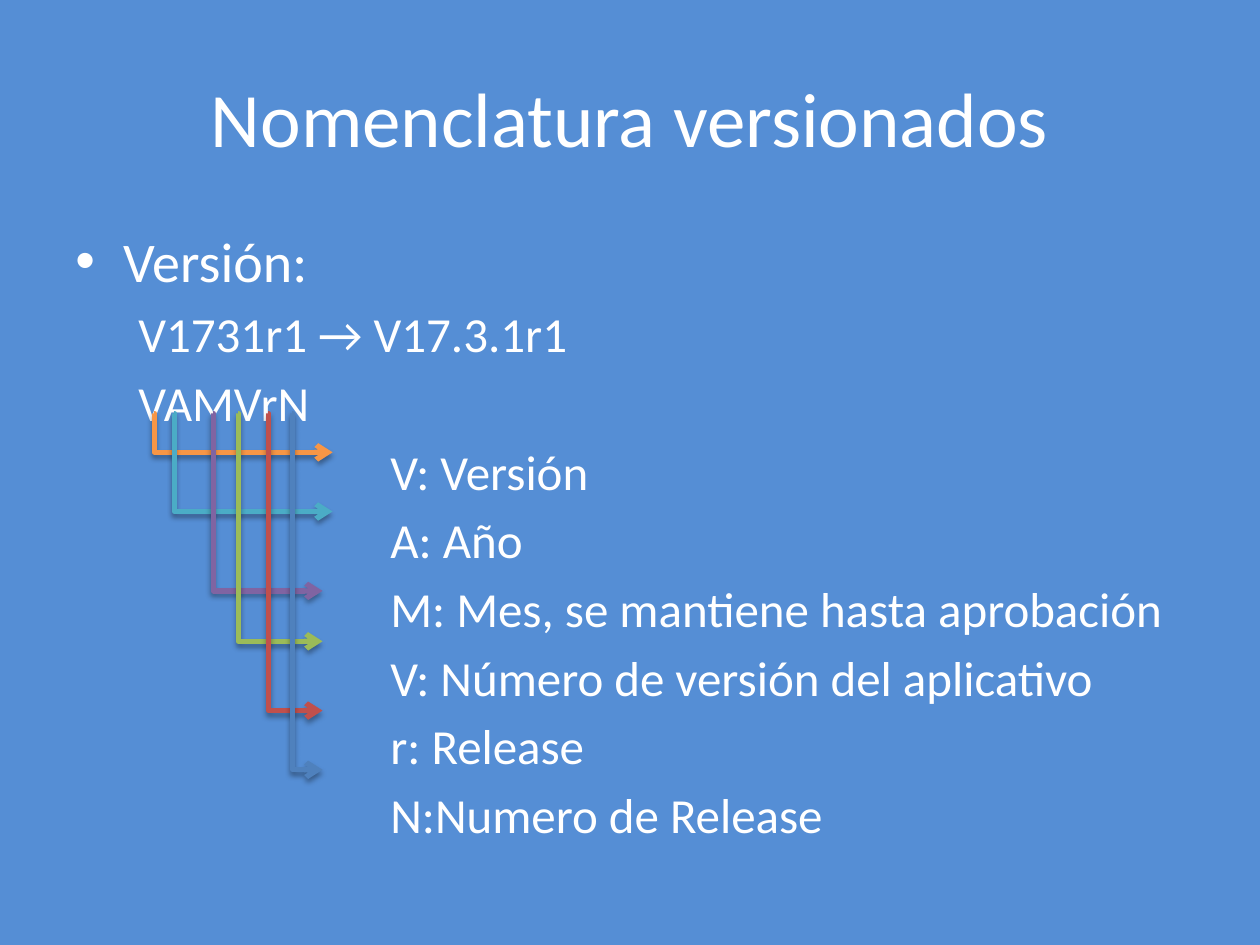
from lxml.etree import SubElement
from pptx import Presentation
from pptx.dml.color import RGBColor
from pptx.enum.shapes import MSO_CONNECTOR as Connector
from pptx.enum.text import MSO_ANCHOR as Anchor, PP_ALIGN as Align
from pptx.oxml.ns import qn
from pptx.util import Inches, Pt

COLORS = {
    "background": "558ED5", "text": "FFFFFF", "shadow": "000000",
    "orange": "F79646", "aqua": "4BACC6", "purple": "8064A2",
    "green": "9BBB59", "red": "C0504D", "blue": "4F81BD",
}
FONT = "Calibri"
LETTERS_BOTTOM = 3.28
OUTLINE = [
    ("Versión:", 32, 0.38),
    ("V1731r1 → V17.3.1r1", 28, 0.5),
    ("VAMVrN", 28, 0.5),
    ("V: Versión", 28, 2.5),
    ("A: Año", 28, 2.5),
    ("M: Mes, se mantiene hasta aprobación", 28, 2.5),
    ("V: Número de versión del aplicativo", 28, 2.5),
    ("r: Release", 28, 2.5),
    ("N:Numero de Release", 28, 2.5),
]
ARROWS = [
    ("orange", 1.22, 2.64, 3.59),
    ("aqua", 1.38, 2.64, 4.06),
    ("purple", 1.69, 2.56, 4.69),
    ("green", 1.89, 2.56, 5.09),
    ("red", 2.13, 2.56, 5.64),
    ("blue", 2.32, 2.56, 6.11),
]


def rgb(name):
    """Return the named colour."""
    return RGBColor.from_string(COLORS[name])


def add_text_frame(slide, left, top, width, height):
    """Add a wrapping text box and return its frame."""
    box = slide.shapes.add_textbox(
        Inches(left), Inches(top), Inches(width), Inches(height))
    box.text_frame.word_wrap = True
    return box.text_frame


def write_line(paragraph, text, size):
    """Fill a paragraph and format its run."""
    paragraph.text = text
    font = paragraph.runs[0].font
    font.name, font.size = FONT, Pt(size)
    font.color.rgb = rgb("text")


def set_layout(paragraph, margin, bullet=None):
    """Set the indent, proportional spacing and bullet of a paragraph."""
    props = paragraph._p.get_or_add_pPr()
    props.set("marL", str(Inches(margin)))
    props.set("indent", str(-Inches(margin) if bullet else 0))
    spacing = SubElement(props, qn("a:spcBef"))
    SubElement(spacing, qn("a:spcPct"), val="20000")
    if bullet:
        SubElement(props, qn("a:buFont"), typeface="Arial")
        SubElement(props, qn("a:buChar"), char=bullet)
    else:
        SubElement(props, qn("a:buNone"))


def add_title(slide, text):
    """Add the centred heading."""
    frame = add_text_frame(slide, 0.5, 0.3, 9, 1.25)
    frame.vertical_anchor = Anchor.MIDDLE
    write_line(frame.paragraphs[0], text, 44)
    frame.paragraphs[0].alignment = Align.CENTER


def add_outline(slide):
    """Add the version pattern and the meaning of its letters."""
    frame = add_text_frame(slide, 0.5, 1.75, 9, 4.95)
    for index, (text, size, margin) in enumerate(OUTLINE):
        paragraph = frame.add_paragraph() if index else frame.paragraphs[0]
        write_line(paragraph, text, size)
        set_layout(paragraph, margin, None if index else "•")


def add_shadow(props):
    """Add a soft shadow below a connector."""
    effects = SubElement(props, qn("a:effectLst"))
    shadow = SubElement(
        effects, qn("a:outerShdw"), blurRad=str(Pt(3.1)), dist=str(Pt(1.8)),
        dir="5400000", rotWithShape="0")
    color = SubElement(shadow, qn("a:srgbClr"), val=COLORS["shadow"])
    SubElement(color, qn("a:alpha"), val="35000")


def add_letter_arrow(slide, color, letter_x, tip_x, tip_y):
    """Add an elbow arrow that drops from a letter and turns right."""
    arrow = slide.shapes.add_connector(
        Connector.ELBOW, Inches(letter_x), Inches(LETTERS_BOTTOM),
        Inches(tip_x), Inches(tip_y))
    arrow.line.color.rgb = rgb(color)
    arrow.line.width = Pt(3)
    SubElement(arrow.line._get_or_add_ln(), qn("a:tailEnd"), type="arrow")
    props = arrow._element.spPr
    guides = props.find(qn("a:prstGeom")).get_or_add_avLst()
    SubElement(guides, qn("a:gd"), name="adj1", fmla="val 400")
    add_shadow(props)


def main():
    """Build and save the slide."""
    deck = Presentation()
    deck.slide_width, deck.slide_height = Inches(10), Inches(7.5)
    slide = deck.slides.add_slide(deck.slide_layouts[6])
    slide.background.fill.solid()
    slide.background.fill.fore_color.rgb = rgb("background")
    add_title(slide, "Nomenclatura versionados")
    add_outline(slide)
    for arrow in ARROWS:
        add_letter_arrow(slide, *arrow)
    deck.save("out.pptx")


main()
